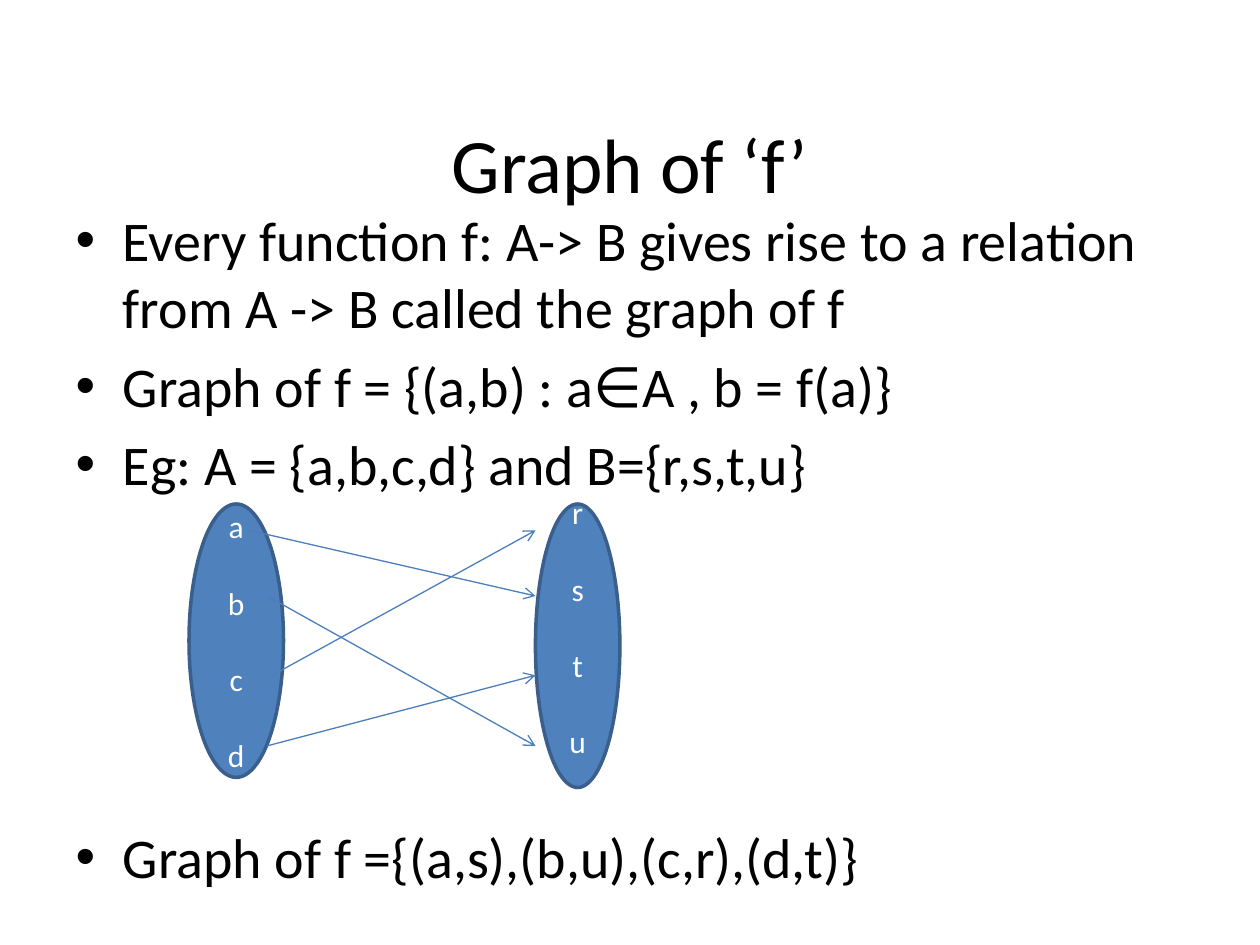
from dataclasses import dataclass

import pptx
import pptx.util
from lxml import etree
from pptx.dml.color import RGBColor
from pptx.enum.shapes import MSO_CONNECTOR, MSO_SHAPE
from pptx.enum.text import MSO_ANCHOR, MSO_AUTO_SIZE, PP_ALIGN
from pptx.oxml.ns import qn
from pptx.util import Inches, Pt


@dataclass(frozen=True)
class Theme:
    font: str = "Calibri"
    text: str = "000000"
    set_text: str = "FFFFFF"
    set_fill: str = "4F81BD"
    set_line: str = "3A5F8C"
    arrow: str = "4B7EBC"
    title_size: int = 44
    body_size: int = 32
    set_size: int = 18


theme = Theme()


def style(paragraph, size, color):
    paragraph.font.name = theme.font
    paragraph.font.size = Pt(size)
    paragraph.font.color.rgb = RGBColor.from_string(color)


def place(shape, left, top, width, height):
    shape.left, shape.top = Inches(left), Inches(top)
    shape.width, shape.height = Inches(width), Inches(height)


presentation = pptx.Presentation()
presentation.slide_width, presentation.slide_height = Inches(10), Inches(7.5)
slide = presentation.slides.add_slide(presentation.slide_layouts[1])

heading = slide.shapes.title
place(heading, 0.5, 0.67, 9, 1.25)
heading.text_frame.text = "Graph of ‘f’"
heading.text_frame.auto_size = MSO_AUTO_SIZE.NONE
style(heading.text_frame.paragraphs[0], theme.title_size, theme.text)

# Statements, the last one below the diagram
statements = slide.placeholders[1]
place(statements, 0.5, 1.58, 9, 5.75)
statements.text_frame.text = "\n".join([
    "Every function f: A-> B gives rise to a relation from A -> B called the graph of f",
    "Graph of f = {(a,b) : a∈A , b = f(a)}",
    "Eg: A = {a,b,c,d} and B={r,s,t,u}",
    "Graph of f ={(a,s),(b,u),(c,r),(d,t)}",
])
statements.text_frame.auto_size = MSO_AUTO_SIZE.NONE
for statement, gap in zip(statements.text_frame.paragraphs, (0, 6.4, 6.4, 186)):
    statement.space_before = Pt(gap)
    style(statement, theme.body_size, theme.text)

# The two sets: members, left, width, height, bottom inset
for members, left, width, height, inset in [
    ("abcd", 1.5, 0.75, 2.17, 0.05),
    ("rstu", 4.25, 0.67, 2.25, 0.35),
]:
    oval = slide.shapes.add_shape(
        MSO_SHAPE.OVAL, Inches(left), Inches(4), Inches(width), Inches(height))
    oval.shadow.inherit = False
    oval.fill.solid()
    oval.fill.fore_color.rgb = RGBColor.from_string(theme.set_fill)
    oval.line.color.rgb = RGBColor.from_string(theme.set_line)
    oval.line.width = Pt(2)
    oval.text_frame.text = "\n".join(members)
    oval.text_frame.vertical_anchor = MSO_ANCHOR.MIDDLE
    oval.text_frame.margin_bottom = Inches(inset)
    for index, member in enumerate(oval.text_frame.paragraphs):
        member.alignment = PP_ALIGN.CENTER
        member.space_before = Pt(22 if index else 0)
        style(member, theme.set_size, theme.set_text)

# The mapping a-s, b-u, c-r, d-t: start x, start y, end y
for start_x, start_y, end_y in [
    (1.98, 4.21, 4.73),
    (2.12, 4.73, 5.92),
    (2.16, 5.36, 4.21),
    (2.12, 5.92, 5.36),
]:
    arrow = slide.shapes.add_connector(
        MSO_CONNECTOR.STRAIGHT,
        Inches(start_x), Inches(start_y), Inches(4.25), Inches(end_y))
    arrow.line.color.rgb = RGBColor.from_string(theme.arrow)
    arrow.line.width = Pt(0.75)
    etree.SubElement(arrow.line._get_or_add_ln(), qn("a:tailEnd"), type="arrow")
    etree.SubElement(arrow._element.spPr, qn("a:effectLst"))

presentation.save("out.pptx")
